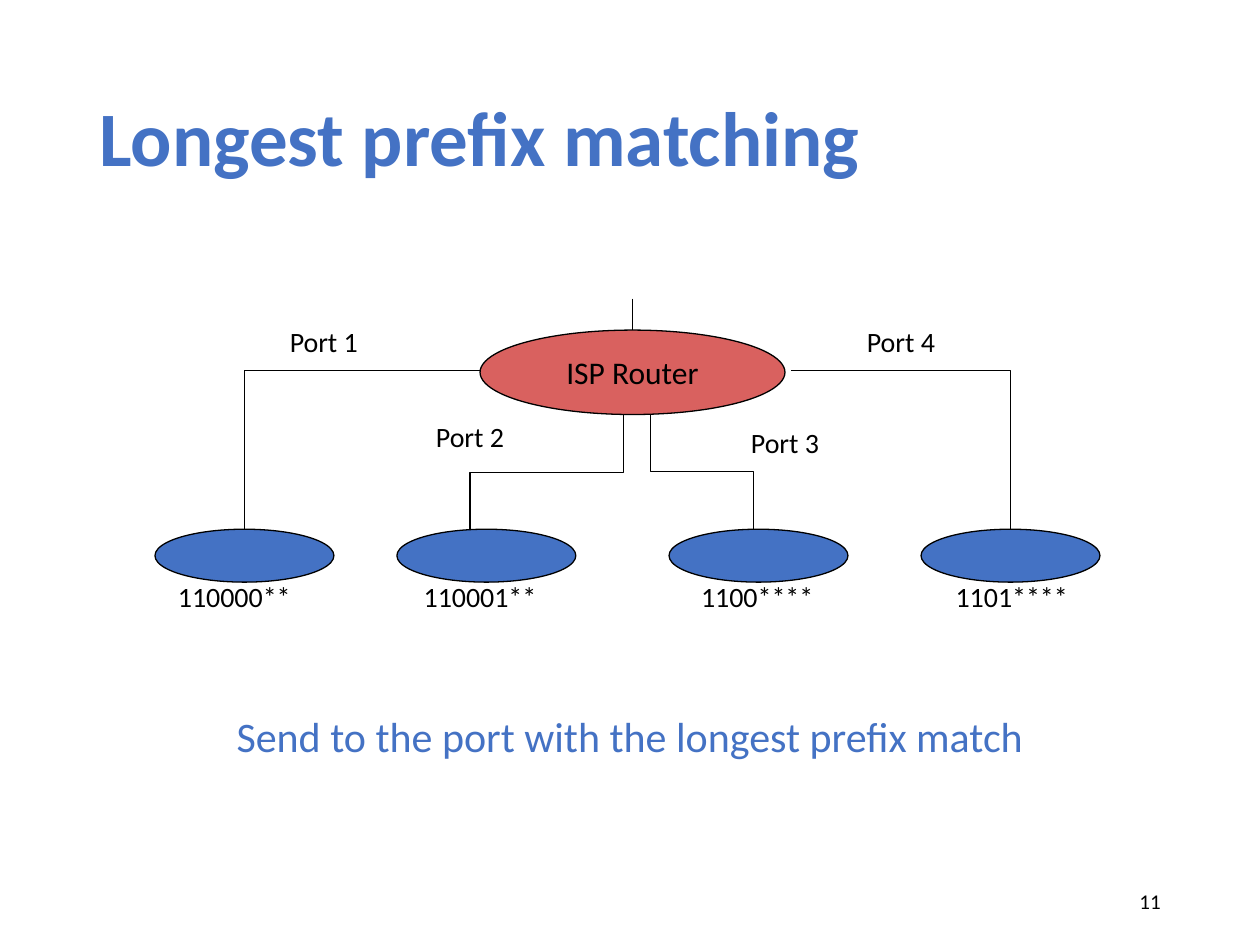
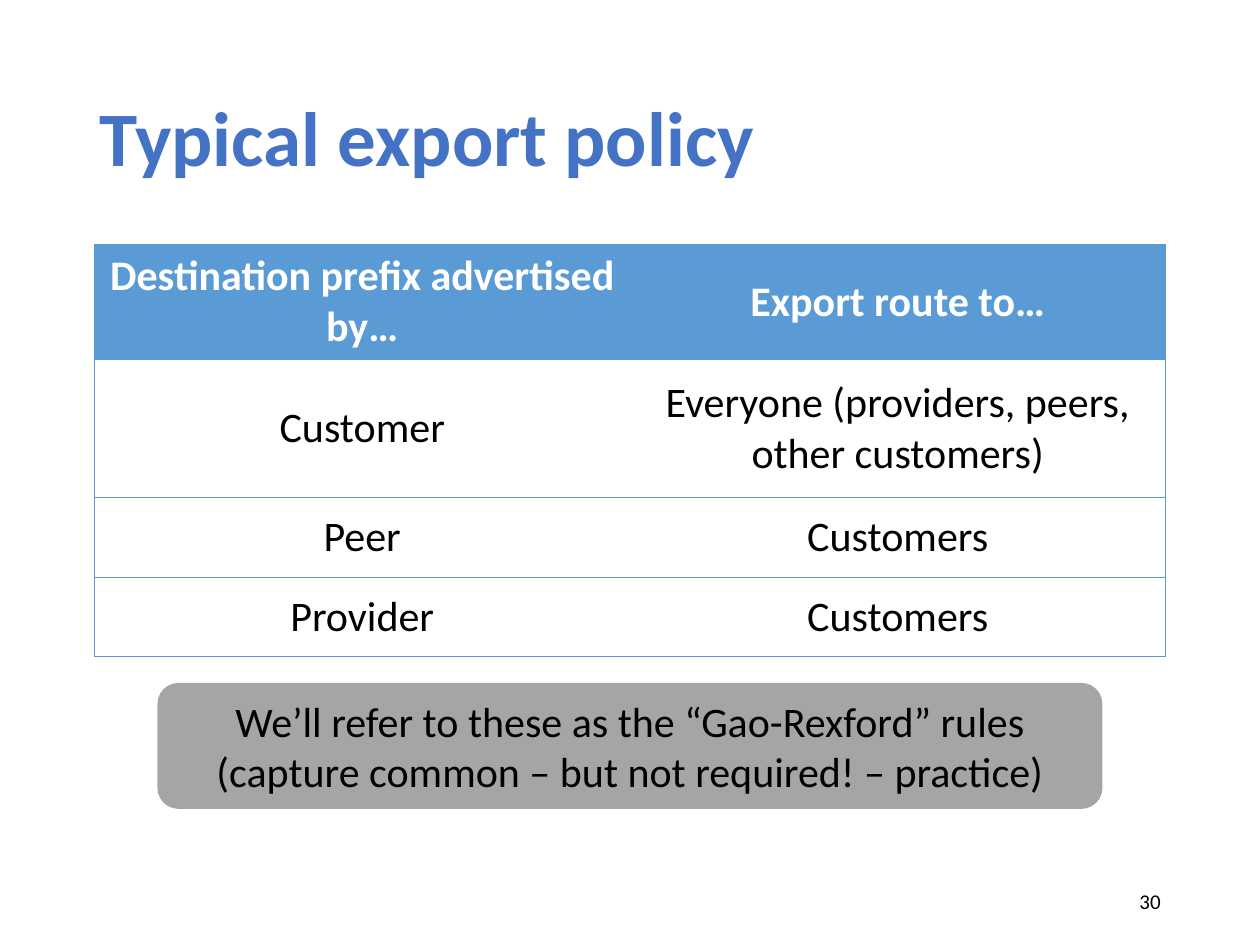
from dataclasses import dataclass

from lxml import etree
from pptx import Presentation
from pptx import util as u
from pptx.dml.color import RGBColor
from pptx.enum import shapes, text
from pptx.oxml.ns import qn


@dataclass(frozen=True)
class Theme:
    font: str = "Calibri"
    accent: str = "4472C4"
    router: str = "D9615F"
    table: str = "5B9BD5"
    callout: str = "A5A5A5"
    ink: str = "000000"
    paper: str = "FFFFFF"
    title: int = 44
    body: int = 24
    node: int = 18
    label: int = 16
    number: int = 12
    outline: float = 0.75
    border: float = 0.5


THEME = Theme()
WIDTH, HEIGHT = 10, 7.5
PLAIN_TABLE = "{2D5ABB26-0587-4C30-8999-92F81FD0307C}"

# Content: slide 1
MATCHING = dict(title="Longest prefix matching", number="11",
                router="ISP Router",
                rule="Send to the port with the longest prefix match")
# prefix, centre of network, centre of prefix, port name, port left, port top
PORTS = [
    ("110000**", 1.94, 1.86, "Port 1", 2.11, 2.53),
    ("110001**", 3.86, 3.81, "Port 2", 3.27, 3.28),
    ("1100****", 6.02, 6.01, "Port 3", 5.77, 3.33),
    ("1101****", 8.02, 8.03, "Port 4", 6.69, 2.53),
]
SIDE_LINKS = [((3.87, 2.94), (1.94, 4.2)), ((6.28, 2.94), (8.02, 4.2))]
LOWER_LINKS = [((4.95, 3.29), (3.73, 4.21)), ((5.16, 3.28), (5.98, 4.2))]
ROUTER = (3.81, 2.62, 2.42, 0.67)
NETWORK_TOP, NETWORK_W, NETWORK_H = 4.2, 1.42, 0.42
PREFIX_TOP, PREFIX_W = 4.55, 1.73
PORT_W, LABEL_H = 0.92, 0.37

# Content: slide 2
EXPORT = dict(title="Typical export policy", number="30")
POLICY = [
    ("Destination prefix advertised by…", "Export route to…"),
    ("Customer", "Everyone (providers, peers, other customers)"),
    ("Peer", "Customers"),
    ("Provider", "Customers"),
]
POLICY_ROWS = [0.91, 1.1, 0.63, 0.63]
POLICY_W, POLICY_TOP = 8.5, 1.94
CALLOUT = ("We’ll refer to these as the “Gao-Rexford” rules\n"
           "(capture common – but not required! – practice)")
CALLOUT_W = 7.5


# Shared helpers
def inches(*lengths):
    return [u.Inches(length) for length in lengths]


def rgb(colour):
    return RGBColor.from_string(colour)


def write(frame, words, size, colour=THEME.ink, bold=False,
          align=text.PP_ALIGN.CENTER):
    frame.text = words
    for paragraph in frame.paragraphs:
        paragraph.alignment = align
        for run in paragraph.runs:
            run.font.name = THEME.font
            run.font.size = u.Pt(size)
            run.font.bold = bold
            run.font.color.rgb = rgb(colour)


def label(slide, box, words, size, colour=THEME.ink, **style):
    frame = slide.shapes.add_textbox(*inches(*box)).text_frame
    frame.word_wrap = True
    write(frame, words, size, colour, **style)
    return frame


def block(slide, preset, box, fill, outlined=True):
    shape = slide.shapes.add_shape(preset, *inches(*box))
    shape.shadow.inherit = False
    shape.fill.solid()
    shape.fill.fore_color.rgb = rgb(fill)
    if outlined:
        outline(shape.line)
    else:
        shape.line.fill.background()
    return shape


def outline(line):
    line.color.rgb = rgb(THEME.ink)
    line.width = u.Pt(THEME.outline)


def connect(slide, kind, start, end):
    link = slide.shapes.add_connector(kind, *inches(*start, *end))
    outline(link.line)
    etree.SubElement(link._element.spPr, qn("a:effectLst"))
    return link


def turn(link, box, rotation, flip=None):
    """Place an elbow in its unrotated box, then rotate and flip it."""
    link.left, link.top, link.width, link.height = inches(*box)
    frame = link._element.spPr.find(qn("a:xfrm"))
    for side in ("flipH", "flipV"):
        frame.attrib.pop(side, None)
    frame.set("rot", str(rotation * 60000))
    if flip:
        frame.set(flip, "1")


def side_link(slide, start, end):
    """Sideways first, then down: one bend."""
    link = connect(slide, shapes.MSO_CONNECTOR.ELBOW, start, end)
    link._element.spPr.find(qn("a:prstGeom")).set("prst", "bentConnector2")
    (x1, y1), (x2, y2) = start, end
    if x2 < x1:
        turn(link, (x2, y1, x1 - x2, y2 - y1), 180, "flipV")


def lower_link(slide, start, end):
    """Down, across and down again: two bends."""
    link = connect(slide, shapes.MSO_CONNECTOR.ELBOW, start, end)
    (x1, y1), (x2, y2) = start, end
    long, wide = y2 - y1, abs(x2 - x1)
    box = ((x1 + x2 - long) / 2, (y1 + y2 - wide) / 2, long, wide)
    if x2 < x1:
        turn(link, box, 90)
    else:
        turn(link, box, 270, "flipH")


def new_slide(deck, title, number):
    slide = deck.slides.add_slide(deck.slide_layouts[5])
    heading = slide.shapes.title
    heading.left, heading.top, heading.width, heading.height = inches(
        0.69, 0.4, 8.62, 1.45)
    heading.text_frame.vertical_anchor = text.MSO_ANCHOR.MIDDLE
    write(heading.text_frame, title, THEME.title, THEME.accent, bold=True,
          align=text.PP_ALIGN.LEFT)
    heading.text_frame.paragraphs[0].line_spacing = 0.9
    footer = label(slide, (7.06, 6.95, 2.25, 0.4), number, THEME.number,
                   align=text.PP_ALIGN.RIGHT)
    footer.vertical_anchor = text.MSO_ANCHOR.MIDDLE
    return slide


def set_borders(cell, drawn):
    properties = cell._tc.get_or_add_tcPr()
    for side in "LRTB":
        edge = etree.SubElement(properties, qn(f"a:ln{side}"))
        edge.set("w", str(u.Pt(THEME.border)))
        if side in drawn:
            paint = etree.SubElement(edge, qn("a:solidFill"))
            etree.SubElement(paint, qn("a:srgbClr")).set("val", THEME.table)
        else:
            etree.SubElement(edge, qn("a:noFill"))


# Slide 1: router tree
def matching_slide(deck):
    slide = new_slide(deck, MATCHING["title"], MATCHING["number"])
    label(slide, (0.48, 5.59, 9.04, 0.5), MATCHING["rule"], THEME.body,
          THEME.accent)
    for prefix, network_x, prefix_x, port, port_left, port_top in PORTS:
        block(slide, shapes.MSO_SHAPE.OVAL,
              (network_x - NETWORK_W / 2, NETWORK_TOP, NETWORK_W, NETWORK_H),
              THEME.accent)
        label(slide, (prefix_x - PREFIX_W / 2, PREFIX_TOP, PREFIX_W, LABEL_H),
              prefix, THEME.label)
        label(slide, (port_left, port_top, PORT_W, LABEL_H), port, THEME.label)
    for start, end in SIDE_LINKS:
        side_link(slide, start, end)
    for start, end in LOWER_LINKS:
        lower_link(slide, start, end)
    router = block(slide, shapes.MSO_SHAPE.OVAL, ROUTER, THEME.router)
    write(router.text_frame, MATCHING["router"], THEME.node)
    router.text_frame.word_wrap = False
    uplink = connect(slide, shapes.MSO_CONNECTOR.STRAIGHT,
                     (5.02, 2.37), (5.02, 2.62))
    uplink.end_connect(router, 0)


# Slide 2: policy table and callout
def export_slide(deck):
    slide = new_slide(deck, EXPORT["title"], EXPORT["number"])
    policy = slide.shapes.add_table(
        len(POLICY), len(POLICY[0]),
        *inches((WIDTH - POLICY_W) / 2, POLICY_TOP, POLICY_W,
                sum(POLICY_ROWS))).table
    policy.horz_banding = False
    policy._tbl.tblPr.find(qn("a:tableStyleId")).text = PLAIN_TABLE
    for r, (entries, height) in enumerate(zip(POLICY, POLICY_ROWS)):
        policy.rows[r].height = u.Inches(height)
        header = r == 0
        for c, entry in enumerate(entries):
            cell = policy.cell(r, c)
            set_borders(cell, "TB" + "LR"[c])
            cell.vertical_anchor = text.MSO_ANCHOR.MIDDLE
            if header:
                cell.fill.solid()
                cell.fill.fore_color.rgb = rgb(THEME.table)
            else:
                cell.fill.background()
            write(cell.text_frame, entry, THEME.body,
                  THEME.paper if header else THEME.ink, bold=header)
    callout = block(slide, shapes.MSO_SHAPE.ROUNDED_RECTANGLE,
                    ((WIDTH - CALLOUT_W) / 2, 5.42, CALLOUT_W, 1),
                    THEME.callout, outlined=False)
    write(callout.text_frame, CALLOUT, THEME.body)
    callout.text_frame.word_wrap = False


def main():
    deck = Presentation()
    deck.slide_width, deck.slide_height = inches(WIDTH, HEIGHT)
    matching_slide(deck)
    export_slide(deck)
    deck.save("out.pptx")


if __name__ == "__main__":
    main()
